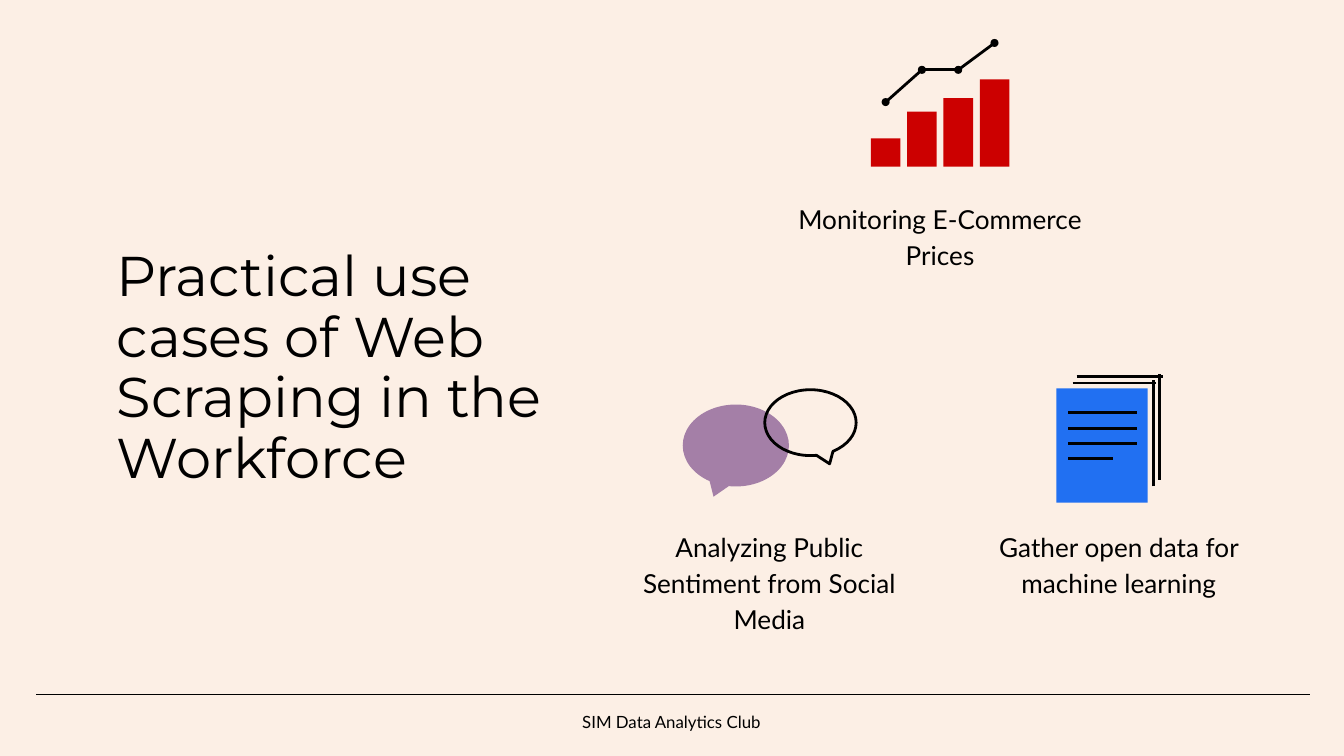
from dataclasses import dataclass
from itertools import pairwise

import lxml.etree
import pptx
import pptx.dml.color
import pptx.enum.shapes
import pptx.enum.text
import pptx.oxml.ns
import pptx.util
from pptx.util import Inches

RGBColor = pptx.dml.color.RGBColor
ShapeType = pptx.enum.shapes.MSO_SHAPE
Align = pptx.enum.text.PP_ALIGN
Anchor = pptx.enum.text.MSO_ANCHOR

CREAM = RGBColor(0xFC, 0xEF, 0xE5)
BLACK = RGBColor(0x00, 0x00, 0x00)
RED = RGBColor(0xCC, 0x00, 0x00)
PURPLE = RGBColor(0xA4, 0x7F, 0xA7)
BLUE = RGBColor(0x21, 0x70, 0xF2)


@dataclass
class Box:
    left: float
    top: float
    width: float
    height: float

    def lengths(self):
        return [Inches(value) for value in (self.left, self.top, self.width, self.height)]


@dataclass
class Label:
    placeholder: int
    text: str
    box: Box
    size: int = 14
    font: str = "Lato"
    align: Align = Align.CENTER
    anchor: Anchor = Anchor.TOP
    line_spacing: float = 1.15
    space_after: int = 12


LABELS = [
    Label(0, "Practical use cases of Web Scraping in the Workforce",
          Box(0.77, 2.75, 3.76, 1), 30, "Montserrat", Align.LEFT, Anchor.BOTTOM, 0.9, 0),
    Label(1, "Monitoring E-Commerce Prices", Box(5.77, 1.38, 2.45, 0.34)),
    Label(2, "Analyzing Public Sentiment from Social Media", Box(4.5, 3.82, 2.45, 0.34)),
    Label(3, "Gather open data for machine learning", Box(7.1, 3.82, 2.45, 0.34)),
    Label(4, "SIM Data Analytics Club", Box(4.18, 5.17, 1.63, 0.34), size=9),
]


def write_label(slide, label: Label) -> None:
    shape = slide.placeholders[label.placeholder]
    shape.left, shape.top, shape.width, shape.height = label.box.lengths()
    text_frame = shape.text_frame
    text_frame.text = label.text
    text_frame.word_wrap = True
    text_frame.auto_size = pptx.enum.text.MSO_AUTO_SIZE.NONE
    text_frame.vertical_anchor = label.anchor
    text_frame.margin_left = text_frame.margin_right = Inches(0.1)
    text_frame.margin_top = text_frame.margin_bottom = Inches(0.1)

    paragraph = text_frame.paragraphs[0]
    properties = paragraph._p.get_or_add_pPr()
    properties.set("marL", "0")
    properties.set("indent", "0")
    lxml.etree.SubElement(properties, pptx.oxml.ns.qn("a:buNone"))
    paragraph.alignment = label.align
    paragraph.line_spacing = label.line_spacing
    paragraph.space_before = pptx.util.Pt(0)
    paragraph.space_after = pptx.util.Pt(label.space_after)
    font = paragraph.runs[0].font
    font.name = label.font
    font.size = pptx.util.Pt(label.size)
    font.bold = False
    font.color.rgb = BLACK


def draw_shape(parent, kind: ShapeType, box: Box, fill: RGBColor | None):
    """Draw a filled shape without outline, or a black outline if fill is None."""
    shape = parent.shapes.add_shape(kind, *box.lengths())
    shape.shadow.inherit = False
    if fill is None:
        shape.fill.background()
        shape.line.color.rgb = BLACK
        shape.line.width = pptx.util.Pt(1.5)
    else:
        shape.fill.solid()
        shape.fill.fore_color.rgb = fill
        shape.line.fill.background()
    return shape


def draw_line(parent, start: tuple[float, float], end: tuple[float, float],
              width: float = 1.5) -> None:
    line = parent.shapes.add_connector(
        pptx.enum.shapes.MSO_CONNECTOR.STRAIGHT,
        *[Inches(value) for value in (*start, *end)])
    line.line.color.rgb = BLACK
    line.line.width = pptx.util.Pt(width)
    lxml.etree.SubElement(line._element.spPr, pptx.oxml.ns.qn("a:effectLst"))


def draw_growth_icon(slide) -> None:
    group = slide.shapes.add_group_shape()
    baseline, step, dot = 1.24, 0.27, 0.06
    for index, top in enumerate([1.03, 0.83, 0.73, 0.59]):
        bar = Box(6.48 + index * step, top, 0.22, baseline - top)
        draw_shape(group, ShapeType.RECTANGLE, bar, RED)
    points = [(6.59 + index * step, y) for index, y in enumerate([0.76, 0.52, 0.52, 0.32])]
    for x, y in points:
        draw_shape(group, ShapeType.OVAL, Box(x - dot / 2, y - dot / 2, dot, dot), BLACK)
    for start, end in pairwise(points):
        draw_line(group, start, end)


def draw_speech_icon(slide) -> None:
    group = slide.shapes.add_group_shape()
    for box, fill, tail in [(Box(5.08, 3.01, 0.79, 0.61), PURPLE, -0.21),
                            (Box(5.69, 2.9, 0.68, 0.49), None, 0.21)]:
        bubble = draw_shape(group, ShapeType.OVAL_CALLOUT, box, fill)
        bubble.adjustments[0] = tail
        bubble.adjustments[1] = 0.625


def draw_document_icon(slide) -> None:
    group = slide.shapes.add_group_shape()
    draw_shape(group, ShapeType.RECTANGLE, Box(7.86, 2.89, 0.68, 0.85), BLUE)
    # Lines of writing
    for y, right in [(3.07, 8.46), (3.19, 8.46), (3.3, 8.46), (3.41, 8.28)]:
        draw_line(group, (7.95, y), (right, y))
    # Edges of the two sheets behind
    for left, right, y, edge in [(7.98, 8.6, 2.85, 8.58), (8.01, 8.65, 2.8, 8.63)]:
        draw_line(group, (left, y), (right, y))
        draw_line(group, (edge, y + 0.77), (edge, y - 0.02))


def main() -> None:
    presentation = pptx.Presentation()
    presentation.slide_width = Inches(10)
    presentation.slide_height = Inches(10) * 9 // 16
    comparison_layout = presentation.slide_layouts[4]
    slide = presentation.slides.add_slide(comparison_layout)
    slide.background.fill.solid()
    slide.background.fill.fore_color.rgb = CREAM

    # Title, captions and footer
    for label in LABELS:
        write_label(slide, label)
    draw_line(slide, (0.27, 5.17), (9.75, 5.17), width=0.75)

    # Icons
    draw_growth_icon(slide)
    draw_speech_icon(slide)
    draw_document_icon(slide)

    presentation.save("out.pptx")


if __name__ == "__main__":
    main()
